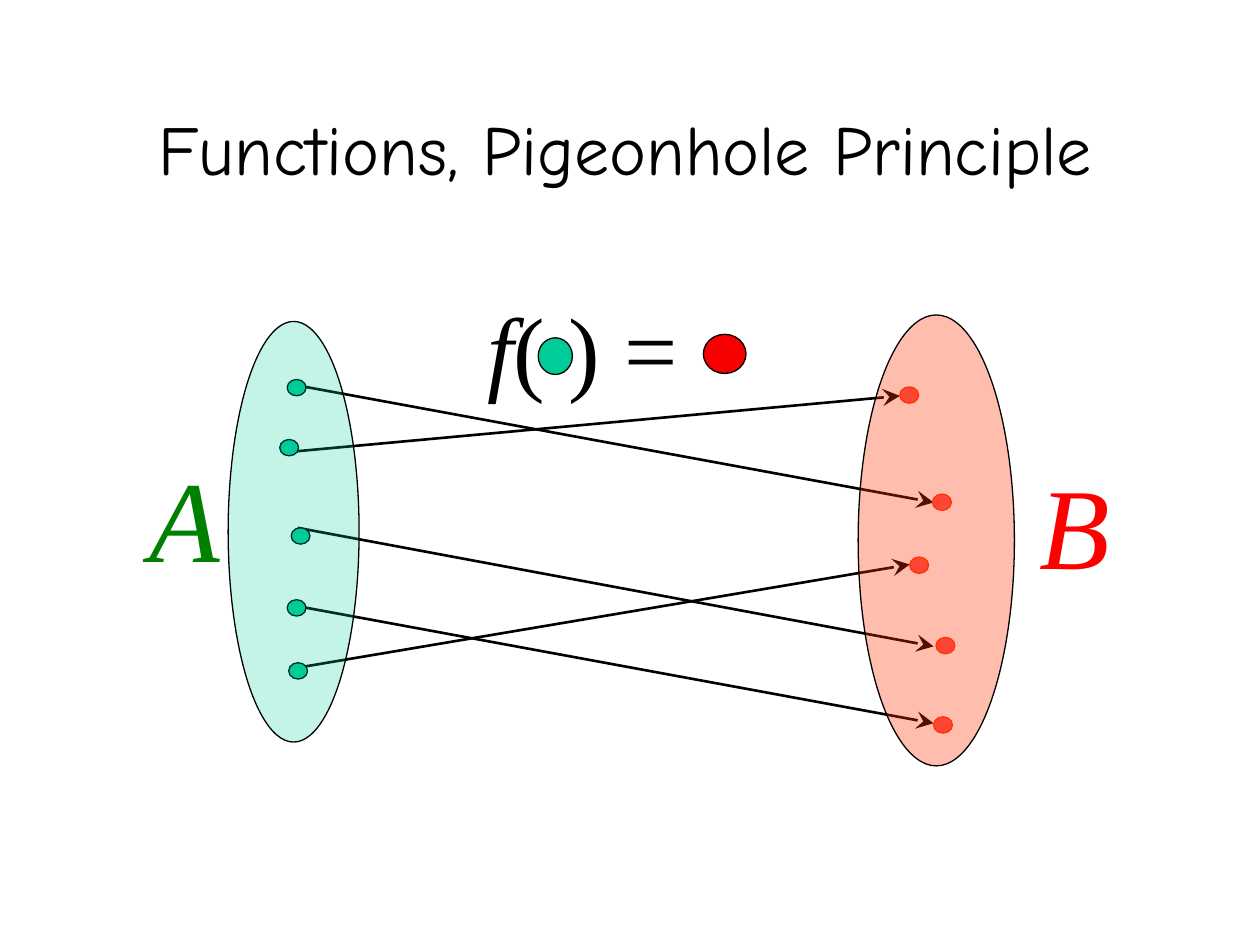
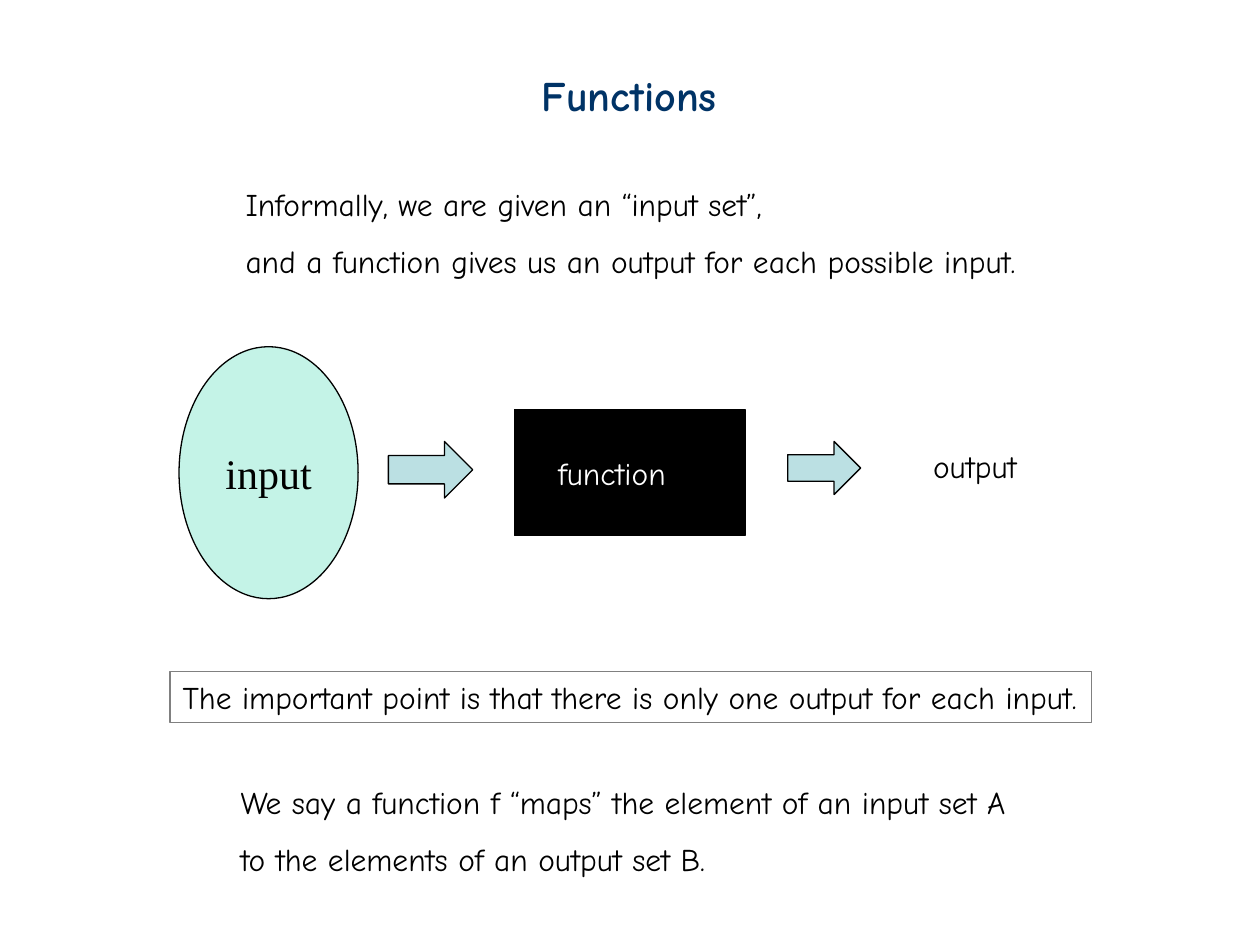
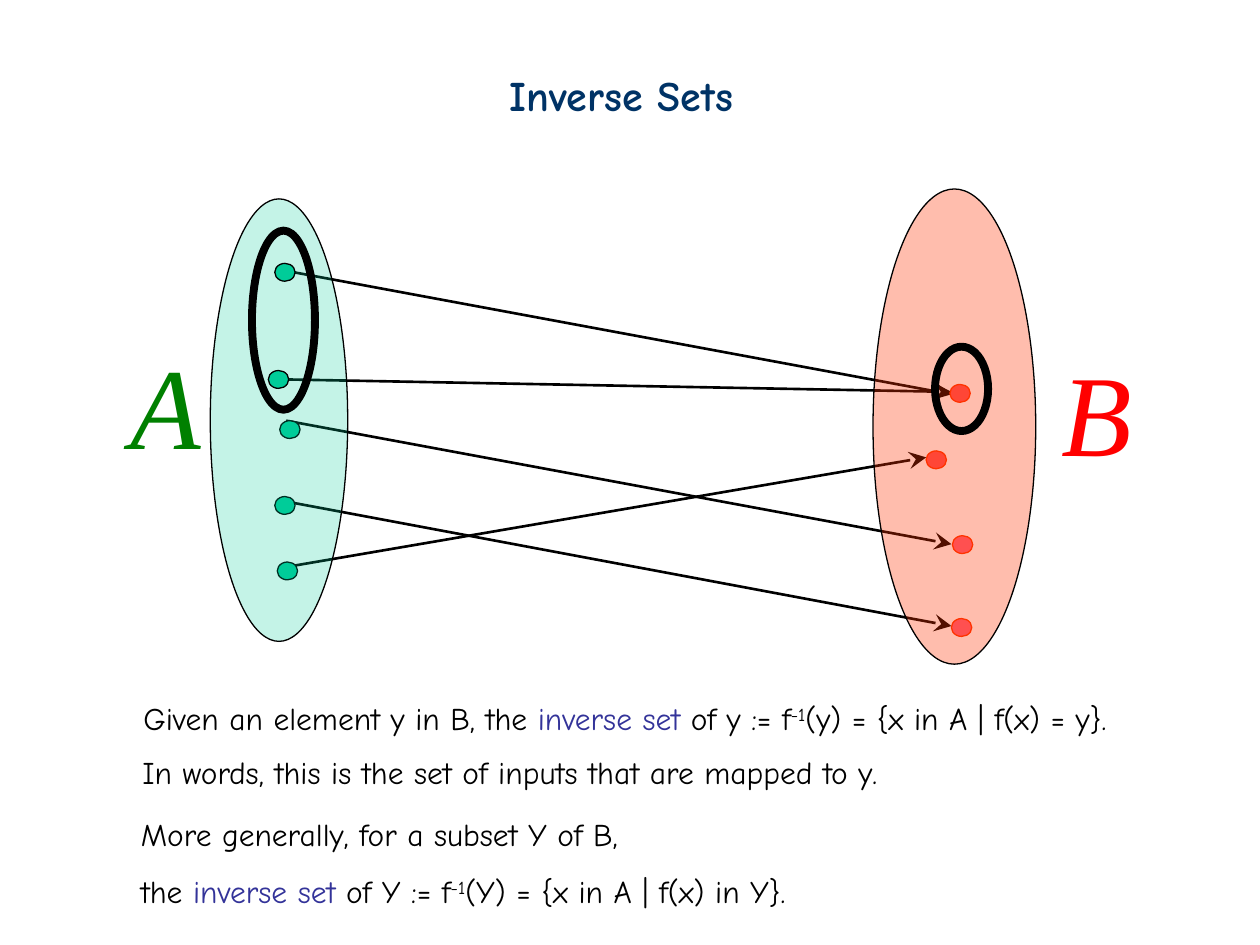
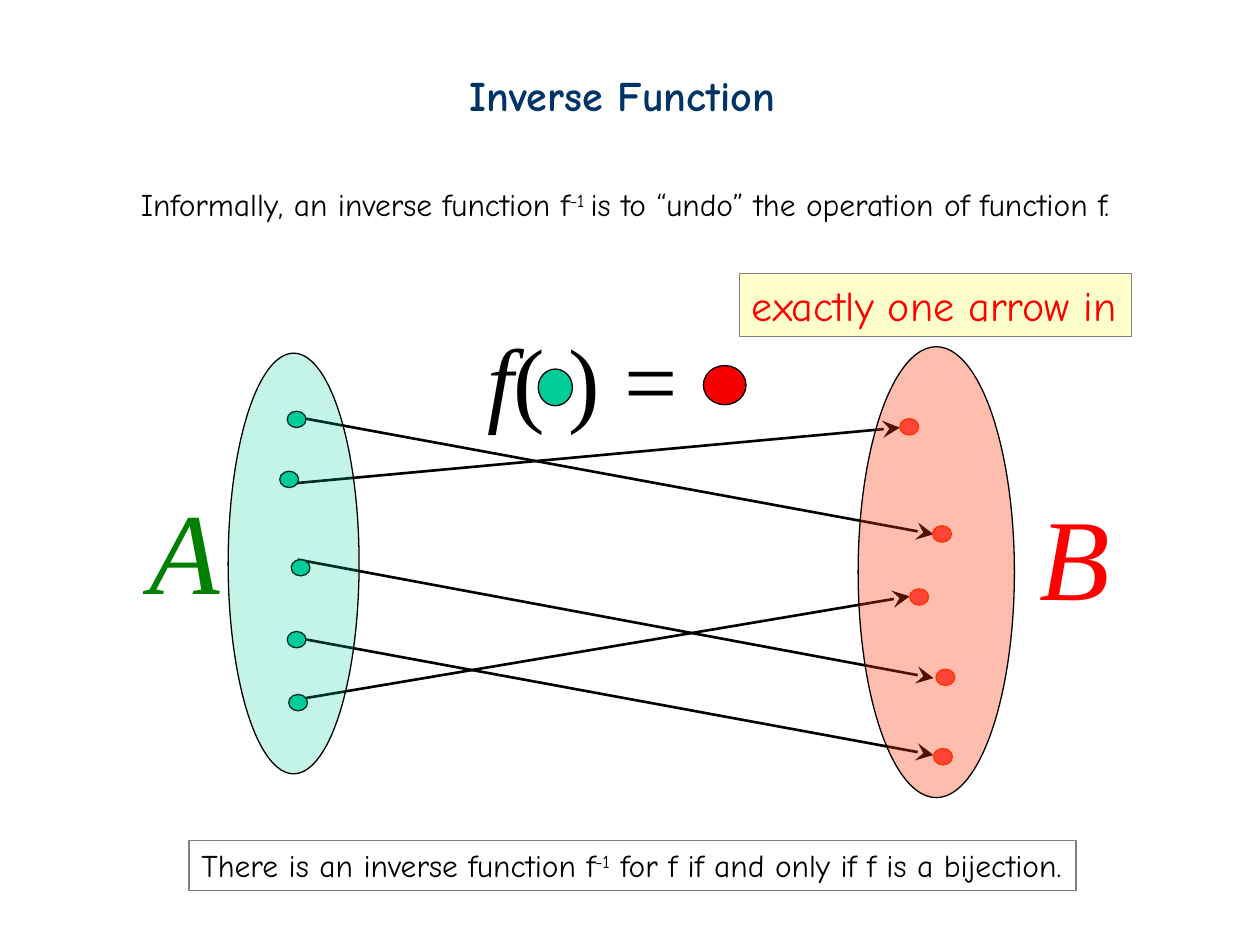
from lxml import etree
from pptx import Presentation
from pptx import util as u
from pptx.dml.color import RGBColor
from pptx.enum import shapes, text
from pptx.oxml.ns import qn

BLACK, NAVY, GRAY, RED, INDIGO = "000000", "003366", "808080", "FF0000", "333399"
GREEN, CORAL, CORAL_EDGE = "00CC99", "FF5050", "FF3300"
OVAL = shapes.MSO_SHAPE.OVAL
RECTANGLE = shapes.MSO_SHAPE.RECTANGLE
ARROW = shapes.MSO_SHAPE.RIGHT_ARROW

STYLES = {
    "cover": {"name": "Comic Neue", "size": u.Pt(40), "color": BLACK},
    "title": {"name": "Comic Neue", "size": u.Pt(24), "color": NAVY, "bold": True},
    "body": {"name": "Comic Neue", "size": u.Pt(18), "color": BLACK},
    "callout": {"name": "Comic Neue", "size": u.Pt(24), "color": RED},
    "box": {"name": "Comic Neue", "size": u.Pt(18), "color": "FFFFFF"},
    "input": {"name": "Times New Roman", "size": u.Pt(24), "color": BLACK},
    "formula": {"name": "Times New Roman", "size": u.Pt(54), "color": BLACK},
    "A": {"name": "Times New Roman", "size": u.Pt(66), "color": "008000", "italic": True},
    "B": {"name": "Times New Roman", "size": u.Pt(66), "color": RED, "italic": True},
}
TERM = {"color": INDIGO}
RAISED = {"baseline": "30000"}
FITTED = {"word_wrap": False, "auto_size": text.MSO_AUTO_SIZE.SHAPE_TO_FIT_TEXT}
MIDDLE = {"vertical_anchor": text.MSO_ANCHOR.MIDDLE}
CENTERED = {"alignment": text.PP_ALIGN.CENTER}

BIJECTION = {
    "arrows": [(3.23, 1.42, 16.05, 3.78), (2.97, 2.77, 15.37, 1.63), (3.23, 4.29, 16.05, 6.68),
               (3.23, 5.87, 16.05, 8.23), (3.23, 7.11, 15.57, 5.03)],
    "dot": (0.38, 0.33),
    "A": {"oval": (1.83, 0.13, 2.64, 8.48), "label": (0, 2.54), "over": [],
          "under": [(3.02, 1.3), (2.87, 2.51), (3.1, 4.29), (3.02, 5.74), (3.05, 7.01)]},
    "B": {"oval": (14.53, 0, 3.15, 9.09), "label": (17.93, 2.67), "over": [],
          "under": [(15.37, 1.45), (16.03, 3.61), (15.57, 4.88), (16.1, 6.5), (16.05, 8.1)]},
    "rings": [],
}
INVERSE_SETS = {
    "arrows": [(3.38, 1.65, 16.79, 4.14), (3.43, 3.84, 16.79, 4.09), (3.38, 4.67, 16.79, 7.16),
               (3.38, 6.3, 16.79, 8.81), (3.38, 7.62, 16.28, 5.41)],
    "dot": (0.41, 0.36),
    "A": {"oval": (1.85, 0.2, 2.77, 8.92), "label": (0, 2.79),
          "under": [(3.25, 4.67), (3.15, 6.2), (3.2, 7.52)], "over": [(3.15, 1.5), (3.02, 3.66)]},
    "B": {"oval": (15.21, 0, 3.28, 9.58), "label": (18.75, 2.95),
          "under": [(16.28, 5.28), (16.76, 3.94)], "over": [(16.81, 6.99), (16.79, 8.66)]},
    "rings": [(16.46, 3.18, 1.07, 1.7), (2.69, 0.84, 1.27, 3.61)],
}
SETS = {
    "A": {"tint": GREEN, "alpha": 23, "dot": GREEN, "edge": BLACK},
    "B": {"tint": CORAL_EDGE, "alpha": 32, "dot": CORAL, "edge": CORAL_EDGE},
}


def color(value):
    """Turn a hex string into a colour."""
    return RGBColor.from_string(value)


def apply(target, values):
    """Set each attribute of the target from the values."""
    for name, value in values.items():
        setattr(target, name, value)


def within(box, left, top, width, height):
    """Place a part relative to the corner of its box."""
    return box[0] + left, box[1] + top, width, height


def write(shape, paragraphs, style, frame_format, paragraph_format=None):
    """Fill a shape with paragraphs made of strings or (string, changes) runs."""
    frame = shape.text_frame
    apply(frame, frame_format)
    for index, runs in enumerate(paragraphs):
        paragraph = frame.paragraphs[0] if index == 0 else frame.add_paragraph()
        defaults = {"alignment": text.PP_ALIGN.LEFT, "line_spacing": 1.5 if index else None}
        apply(paragraph, defaults | (paragraph_format or {}))
        for item in runs:
            words, changes = (item, {}) if isinstance(item, str) else item
            values = STYLES[style] | changes
            run = paragraph.add_run()
            run.text = words
            run.font.color.rgb = color(values.pop("color"))
            baseline = values.pop("baseline", None)
            if baseline:
                run._r.get_or_add_rPr().set("baseline", baseline)
            apply(run.font, values)


def add_text(slide, box, paragraphs, style="body", frame_format=FITTED, paragraph_format=None):
    """Add a text box."""
    shape = slide.shapes.add_textbox(*map(u.Cm, box))
    write(shape, paragraphs, style, frame_format, paragraph_format)


def add_figure(slide, kind, box, fill=None, line=BLACK, width=0.75, alpha=None):
    """Add a preset shape without shadow, and with a see-through fill if asked."""
    shape = slide.shapes.add_shape(kind, *map(u.Cm, box))
    shape.shadow.inherit = False
    shape.line.color.rgb = color(line)
    shape.line.width = u.Pt(width)
    if fill is None:
        shape.fill.background()
        return shape
    shape.fill.solid()
    shape.fill.fore_color.rgb = color(fill)
    if alpha:
        tint = shape._element.spPr.find(qn("a:solidFill"))[0]
        etree.SubElement(tint, qn("a:alpha"), val=str(alpha * 1000))
    return shape


def add_arrow(slide, box, start_x, start_y, end_x, end_y):
    """Add a line with a large stealth head at its end."""
    ends = (box[0] + start_x, box[1] + start_y, box[0] + end_x, box[1] + end_y)
    arrow = slide.shapes.add_connector(shapes.MSO_CONNECTOR.STRAIGHT, *map(u.Cm, ends))
    arrow.line.color.rgb = color(BLACK)
    arrow.line.width = u.Pt(1.5)
    etree.SubElement(arrow.line._get_or_add_ln(), qn("a:tailEnd"),
                     type="stealth", w="lg", len="lg")
    etree.SubElement(arrow._element.spPr, qn("a:effectLst"))


def add_title(slide, left, width, words):
    """Add the title of a content slide."""
    add_text(slide, (left, 1.27, width, 1.27), [[words]], "title")


def add_framed(slide, box, runs, style="body", fill=None):
    """Add a line of text in a thin gray frame."""
    shape = add_figure(slide, RECTANGLE, box, fill, GRAY)
    write(shape, [runs], style, FITTED | {"vertical_anchor": text.MSO_ANCHOR.TOP})


def add_mapping(slide, box, mapping):
    """Draw sets A and B with their elements and the arrows between them."""
    for ends in mapping["arrows"]:
        add_arrow(slide, box, *ends)
    for name, look in SETS.items():
        part = mapping[name]

        def add_dots(places):
            """Draw the elements at the given places."""
            for place in places:
                add_figure(slide, OVAL, within(box, *place, *mapping["dot"]),
                           look["dot"], look["edge"])

        add_dots(part["under"])
        add_figure(slide, OVAL, within(box, *part["oval"]), look["tint"], alpha=look["alpha"])
        add_dots(part["over"])
        add_text(slide, within(box, *part["label"], 1.93, 3.05), [[name]], name)
    for ring in mapping["rings"]:
        add_figure(slide, OVAL, within(box, *ring), width=4.5)


def add_formula(slide, box):
    """Write f( ) = with a green dot as input and a red dot as output."""
    add_text(slide, within(box, 0, 0, 6.25, 2.54), [[("f", {"italic": True}), "( ) ="]], "formula",
             FITTED | {"word_wrap": True}, {"space_before": u.Pt(33.8)})
    add_figure(slide, OVAL, within(box, 1.27, 1.09, 0.69, 0.74), GREEN)
    add_figure(slide, OVAL, within(box, 4.6, 1.02, 0.86, 0.79), "F80000")


def add_machine(slide, box):
    """Draw the way from input through the black box to output."""
    source = add_figure(slide, OVAL, within(box, 0, 0, 3.61, 5.08), GREEN, alpha=23)
    write(source, [["input"]], "input", MIDDLE | {"word_wrap": False}, CENTERED)
    black_box = add_figure(slide, RECTANGLE, within(box, 6.76, 1.27, 4.65, 2.54), BLACK)
    write(black_box, [["function"]], "box",
          MIDDLE | {"word_wrap": True, "margin_left": u.Cm(0.88)})
    for arrow in [(4.22, 1.91, 1.7, 1.14), (12.27, 1.91, 1.47, 1.07)]:
        add_figure(slide, ARROW, within(box, *arrow), "BBE0E3")
    add_text(slide, within(box, 14.95, 1.9, 2.3, 1.02), [["output"]])


def build_cover(slide):
    """Build the opening slide."""
    add_text(slide, (1.27, 1.7, 22.66, 2.54), [["Functions, Pigeonhole Principle"]], "cover",
             MIDDLE | {"word_wrap": True}, CENTERED)
    add_mapping(slide, (2.77, 6.35), BIJECTION)
    add_formula(slide, (9.58, 5.72))


def build_functions(slide):
    """Build the slide that explains functions."""
    add_title(slide, 10.67, 4.04, "Functions")
    add_text(slide, (4.7, 3.61, 16.05, 2.16),
             [["Informally, we are given an “input set”,"],
              ["and a function gives us an output for each possible input."]])
    add_machine(slide, (3.61, 6.99))
    add_framed(slide, (3.43, 13.54, 18.57, 1.02),
               ["The important point is that there is only one output for each input."])
    add_text(slide, (4.6, 15.67, 15.98, 2.16),
             [["We say a function f “maps” the element of an input set A"],
              ["to the elements of an output set B."]])


def build_inverse_sets(slide):
    """Build the slide that defines inverse sets."""
    add_title(slide, 10.03, 5, "Inverse Sets")
    add_mapping(slide, (2.39, 3.81), INVERSE_SETS)
    add_text(slide, (2.64, 13.97, 19.94, 1.02),
             [["Given an element y in B, the ", ("inverse set", TERM), " of y := f",
               ("-1", RAISED), "(y) = {x in A | f(x) = y}."]])
    add_text(slide, (2.62, 15.06, 15.39, 1.02),
             [["In words, this is the set of inputs that are mapped to y."]])
    add_text(slide, (2.59, 16.31, 13.51, 2.16),
             [["More generally, for a subset Y of B,"],
              ["the ", ("inverse set", TERM), " of Y := f", ("-1", RAISED),
               "(Y) = {x in A | f(x) in Y}."]])


def build_inverse_function(slide):
    """Build the slide that explains inverse functions."""
    add_title(slide, 9.22, 6.8, "Inverse Function")
    add_text(slide, (2.59, 3.61, 20.14, 1.02),
             [["Informally, an inverse function f", ("-1 ", RAISED),
               "is to “undo” the operation of function f."]])
    add_mapping(slide, (2.77, 6.99), BIJECTION)
    add_formula(slide, (9.58, 6.35))
    add_framed(slide, (14.91, 5.51, 7.9, 1.27), ["exactly one arrow in"], "callout", "FFFFCC")
    add_framed(slide, (3.81, 16.94, 17.88, 1.02),
               ["There is an inverse function f", ("-1", RAISED),
                " for f if and only if f is a bijection."])


def main():
    """Build and save the presentation."""
    presentation = Presentation()
    apply(presentation, {"slide_width": u.Cm(25.4), "slide_height": u.Cm(19.05)})
    for build in (build_cover, build_functions, build_inverse_sets, build_inverse_function):
        build(presentation.slides.add_slide(presentation.slide_layouts[6]))
    presentation.save("out.pptx")


if __name__ == "__main__":
    main()
